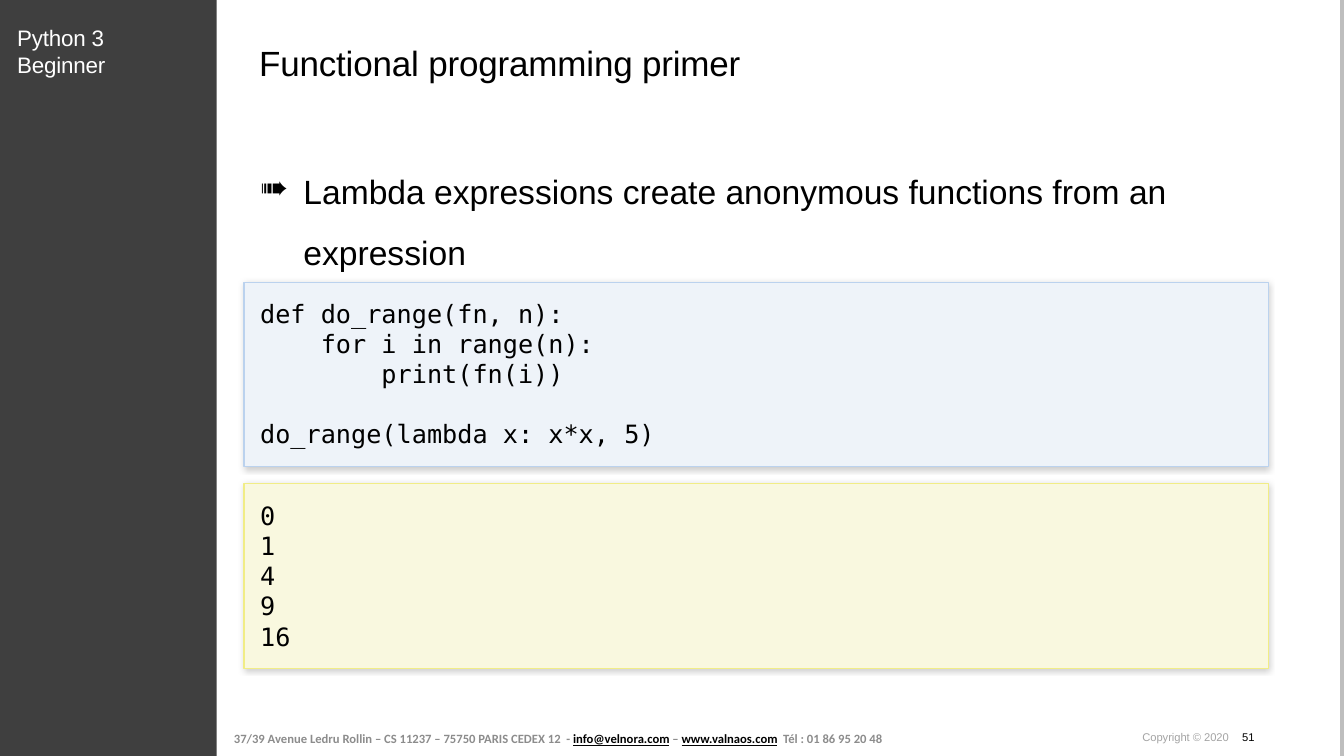
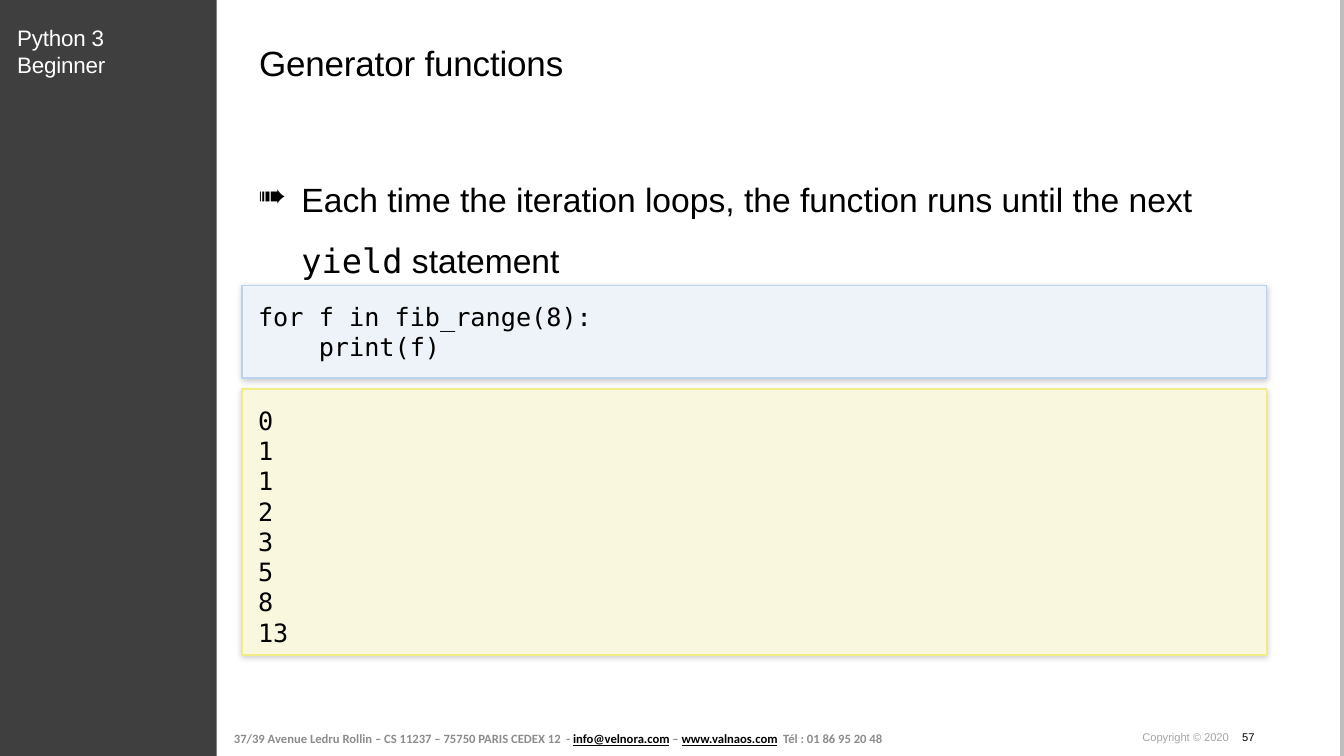
import pptx
import pptx.util
import pptx.dml.color
import pptx.enum.shapes
import pptx.enum.text
import pptx.oxml
import pptx.oxml.ns

Inches = pptx.util.Inches
Pt = pptx.util.Pt
RGBColor = pptx.dml.color.RGBColor
ANCHOR = pptx.enum.text.MSO_ANCHOR
RECT = pptx.enum.shapes.MSO_SHAPE.RECTANGLE
STRAIGHT = pptx.enum.shapes.MSO_CONNECTOR.STRAIGHT
NS = pptx.oxml.ns.nsdecls("a")

BLACK = RGBColor(0x00, 0x00, 0x00)
WHITE = RGBColor(0xFF, 0xFF, 0xFF)
DARK = RGBColor(0x3F, 0x3F, 0x3F)
EDGE = RGBColor(0xBE, 0xBE, 0xBE)
GREY = RGBColor(0x8C, 0x8C, 0x8C)
PALE = RGBColor(0xA4, 0xA4, 0xA4)
BLUE = RGBColor(0xEE, 0xF3, 0xF9)
BLUE_LINE = RGBColor(0xBB, 0xD2, 0xEE)
CREAM = RGBColor(0xF9, 0xF8, 0xDF)
CREAM_LINE = RGBColor(0xF1, 0xED, 0x86)

SANS = "Arial"
MONO = "DejaVu Sans Mono"
WIDTH, HEIGHT = 13.33, 7.5
BAND = 2.15
TEXT_LEFT = 2.57
PANEL_WIDTH = 10.16
PAD = 0.16
CODE_LINE = 21


def write(para, text, size=18, font=SANS, color=BLACK, bold=False, under=False, track=0):
    run = para.add_run()
    run.text = text
    run.font.size = Pt(size)
    run.font.name = font
    run.font.color.rgb = color
    run.font.bold = bold
    run.font.underline = under
    if track:
        run.font._element.set("spc", str(track))


def inset(frame, across, down, anchor=ANCHOR.TOP):
    frame.word_wrap = True
    frame.vertical_anchor = anchor
    frame.margin_left = frame.margin_right = Inches(across)
    frame.margin_top = frame.margin_bottom = Inches(down)


def text_box(slide, box, across=0, down=0, anchor=ANCHOR.TOP):
    shape = slide.shapes.add_textbox(*map(Inches, box))
    inset(shape.text_frame, across, down, anchor)
    return shape.text_frame.paragraphs[0]


def add_rect(slide, box, fill):
    shape = slide.shapes.add_shape(RECT, *map(Inches, box))
    shape.shadow.inherit = False
    shape.fill.solid()
    shape.fill.fore_color.rgb = fill
    shape.line.fill.background()
    return shape


def add_xml(parent, xml):
    parent.append(pptx.oxml.parse_xml(xml))


def side_band(slide, box):
    left, top, wide, high = box
    add_rect(slide, box, DARK)
    para = text_box(slide, (left + 0.17, top + 0.24, wide - 0.65, 0.54))
    write(para, "Python 3 Beginner", size=16, color=WHITE, track=-10)


def right_edge(slide, x):
    line = slide.shapes.add_connector(STRAIGHT, Inches(x), 0, Inches(x), Inches(HEIGHT))
    line.line.color.rgb = EDGE
    line.line.width = Pt(3.34)
    add_xml(line._element.spPr, f"<a:effectLst {NS}/>")


def footer(slide, box, page):
    left, top, wide, high = box
    para = text_box(slide, (left, top, 6.68, high), 0.07, 0.04, ANCHOR.MIDDLE)
    parts = [
        ("37/39 Avenue Ledru Rollin – CS 11237 – 75750 PARIS CEDEX 12  - ", False),
        ("info@velnora.com", True),
        (" – ", False),
        ("www.valnaos.com", True),
        ("  Tél : 01 86 95 20 48", False),
    ]
    for text, link in parts:
        write(para, text, size=9, font="Calibri", color=BLACK if link else GREY,
              bold=True, under=link)
    para = text_box(slide, (left + wide - 1.72, top + 0.08, 1.72, 0.13))
    stop = Inches(0.99)
    add_xml(para._p.get_or_add_pPr(),
            f'<a:tabLst {NS}><a:tab pos="{stop}" algn="l"/></a:tabLst>')
    write(para, "Copyright © 2020\t", size=8, color=PALE, track=-5)
    write(para, str(page), size=8)


def heading(slide, box, text):
    write(text_box(slide, box), text, size=25, track=-10)


def bullet(slide, box, parts):
    para = text_box(slide, box)
    props = para._p.get_or_add_pPr()
    props.set("marL", str(Inches(0.43)))
    props.set("indent", str(-Inches(0.43)))
    add_xml(props, f'<a:buChar {NS} char="➠"/>')
    para.line_spacing = 1.5
    for text, font in parts:
        write(para, text, size=24, font=font)


def panel(slide, box, lines, fill, edge):
    shape = add_rect(slide, box, fill)
    shape.line.color.rgb = edge
    shape.line.width = Pt(1)
    effects = shape._element.spPr.find(pptx.oxml.ns.qn("a:effectLst"))
    add_xml(effects, f'<a:outerShdw {NS} blurRad="{Pt(4)}" dist="{Pt(1)}" dir="5400000" '
                     'rotWithShape="0"><a:srgbClr val="000000"><a:alpha val="20000"/>'
                     '</a:srgbClr></a:outerShdw>')
    frame = shape.text_frame
    inset(frame, PAD, PAD)
    para, gap = frame.paragraphs[0], 0
    for index, line in enumerate(lines):
        if not line:
            gap += CODE_LINE
            continue
        if index:
            para = frame.add_paragraph()
        para.alignment = pptx.enum.text.PP_ALIGN.LEFT
        if gap:
            para.space_before = Pt(gap)
            gap = 0
        write(para, line, font=MONO)


def lesson(deck, title, page, point, point_at, left, code, code_at, result, result_at):
    slide = deck.slides.add_slide(deck.slide_layouts[6])
    right_edge(slide, 13.31)
    side_band(slide, (0, 0, BAND, HEIGHT))
    footer(slide, (2.25, 7.17, 10.8, 0.32), page)
    heading(slide, (TEXT_LEFT, 0.41, 9.91, 0.42), title)
    bullet(slide, (left + PAD, point_at, 10.01, 1.14), point)
    for lines, (top, high), fill, edge in (
        (code, code_at, BLUE, BLUE_LINE),
        (result, result_at, CREAM, CREAM_LINE),
    ):
        panel(slide, (left, top, PANEL_WIDTH, high), lines, fill, edge)


def main():
    deck = pptx.Presentation()
    deck.slide_width = Inches(WIDTH)
    deck.slide_height = Inches(HEIGHT)
    lesson(
        deck, "Functional programming primer", 51,
        point=[("Lambda expressions create anonymous functions from an expression", SANS)],
        point_at=1.5, left=2.42,
        code=["def do_range(fn, n):", "    for i in range(n):", "        print(fn(i))",
              "", "do_range(lambda x: x*x, 5)"],
        code_at=(2.8, 1.83),
        result=["0", "1", "4", "9", "16"], result_at=(4.8, 1.83),
    )
    lesson(
        deck, "Generator functions", 57,
        point=[("Each time the iteration loops, the function runs until the next ", SANS),
               ("yield", MONO), (" statement", SANS)],
        point_at=1.58, left=2.4,
        code=["for f in fib_range(8):", "    print(f)"], code_at=(2.83, 0.92),
        result=["0", "1", "1", "2", "3", "5", "8", "13"], result_at=(3.86, 2.64),
    )
    deck.save("out.pptx")


if __name__ == "__main__":
    main()
